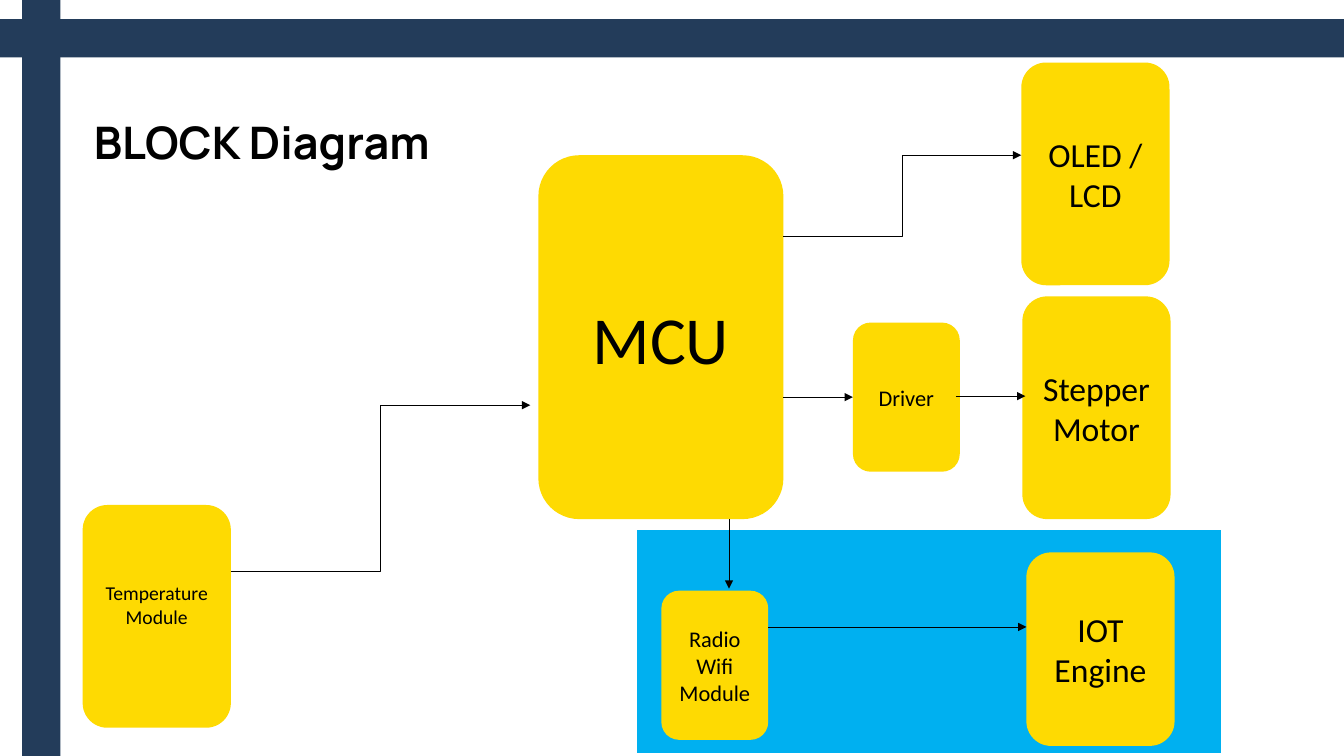
from lxml.etree import SubElement
from pptx import Presentation
from pptx.dml.color import RGBColor
from pptx.enum.shapes import MSO_CONNECTOR, MSO_SHAPE
from pptx.enum.text import MSO_ANCHOR, PP_ALIGN
from pptx.oxml.ns import qn
from pptx.util import Inches, Pt

BLACK = RGBColor(0x00, 0x00, 0x00)
YELLOW = RGBColor(0xFE, 0xDA, 0x02)
SKY = RGBColor(0x00, 0xB0, 0xF0)
NAVY = RGBColor(0x23, 0x3C, 0x5A)

SLIDE_WIDTH, SLIDE_HEIGHT = 13.33, 7.5
BAR = 0.38
LARGE = (1.47, 2.21)
SMALL = (1.06, 1.48)


def add_panel(slide, preset, left, top, width, height, color):
    panel = slide.shapes.add_shape(
        preset, Inches(left), Inches(top), Inches(width), Inches(height))
    panel.shadow.inherit = False
    panel.fill.solid()
    panel.fill.fore_color.rgb = color
    panel.line.fill.background()
    return panel


def add_block(slide, label, left, top, size, points):
    block = add_panel(
        slide, MSO_SHAPE.ROUNDED_RECTANGLE, left, top, *size, YELLOW)
    frame = block.text_frame
    frame.word_wrap = True
    frame.vertical_anchor = MSO_ANCHOR.MIDDLE
    frame.text = label
    for paragraph in frame.paragraphs:
        paragraph.alignment = PP_ALIGN.CENTER
        for run in paragraph.runs:
            run.font.name = "Calibri"
            run.font.size = Pt(points)
            run.font.color.rgb = BLACK
    return block


def add_arrow(slide, start, end, kind=MSO_CONNECTOR.STRAIGHT):
    arrow = slide.shapes.add_connector(
        kind, *(Inches(value) for value in start + end))
    arrow.line.color.rgb = BLACK
    arrow.line.width = Pt(0.5)
    properties = arrow.element.spPr
    SubElement(properties.find(qn("a:ln")), qn("a:tailEnd"), type="triangle")
    SubElement(properties, qn("a:effectLst"))
    return arrow


def set_title(slide, text):
    title = slide.shapes.title
    title.left, title.top = Inches(0.83), Inches(1.09)
    title.width, title.height = Inches(5.07), Inches(0.64)
    frame = title.text_frame
    frame.text = text
    frame.word_wrap = True
    frame.vertical_anchor = MSO_ANCHOR.TOP
    paragraph = frame.paragraphs[0]
    paragraph.alignment = PP_ALIGN.LEFT
    font = paragraph.runs[0].font
    font.name = "Manrope"
    font.size = Pt(32)
    font.bold = True
    font.color.rgb = BLACK


def main():
    deck = Presentation()
    deck.slide_width = Inches(SLIDE_WIDTH)
    deck.slide_height = Inches(SLIDE_HEIGHT)
    slide = deck.slides.add_slide(deck.slide_layouts[5])

    add_panel(slide, MSO_SHAPE.RECTANGLE, 6.32, 5.26, 5.79, 2.21, SKY)
    set_title(slide, "BLOCK Diagram")

    add_block(slide, "MCU", 5.34, 1.54, (2.43, 3.61), 48)
    add_block(slide, "OLED / LCD", 10.13, 0.62, LARGE, 24)
    add_block(slide, "Stepper Motor", 10.14, 2.94, LARGE, 24)
    add_block(slide, "Radio\nWifi Module", 6.56, 5.86, SMALL, 16)
    add_block(slide, "IOT Engine", 10.18, 5.48, (1.47, 1.92), 24)
    temperature = add_block(
        slide, "Temperature\nModule", 0.82, 5.01, LARGE, 14)
    temperature.text_frame.margin_bottom = Inches(0.28)
    driver = add_block(slide, "Driver", 8.46, 3.2, SMALL, 16)

    add_arrow(slide, (7.77, 2.35), (10.13, 1.54), MSO_CONNECTOR.ELBOW)
    add_arrow(slide, (2.29, 5.67), (5.26, 4.02), MSO_CONNECTOR.ELBOW)
    add_arrow(slide, (7.23, 5.15), (7.23, 5.84))
    add_arrow(slide, (7.62, 6.22), (10.18, 6.22))
    add_arrow(slide, (7.77, 3.94), (8.46, 3.94)).end_connect(driver, 1)
    add_arrow(slide, (9.48, 3.93), (10.17, 3.93))

    add_panel(slide, MSO_SHAPE.RECTANGLE, 0.22, 0, BAR, SLIDE_HEIGHT, NAVY)
    add_panel(slide, MSO_SHAPE.RECTANGLE, 0, 0.19, SLIDE_WIDTH, BAR, NAVY)

    deck.save("out.pptx")


if __name__ == "__main__":
    main()
